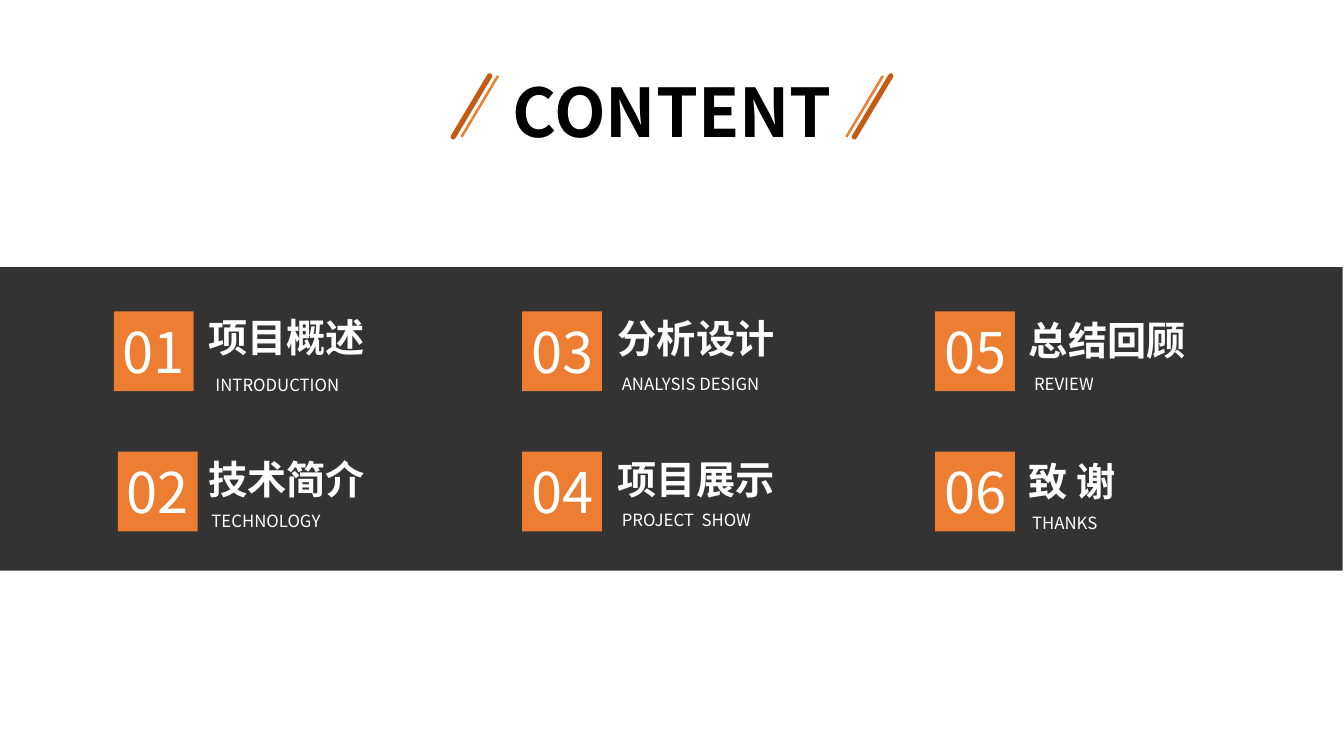
from dataclasses import dataclass
from typing import Any

from lxml import etree
from pptx import Presentation
from pptx import util as u
from pptx.dml.color import RGBColor
from pptx.enum import shapes, text
from pptx.oxml.ns import qn


@dataclass(frozen=True)
class Theme:
    font: str = "Noto Sans CJK SC"
    black: str = "000000"
    white: str = "FFFFFF"
    orange: str = "ED7D31"
    rust: str = "C55A11"
    title: int = 48
    number: int = 40
    heading: int = 28
    caption: int = 12


@dataclass(frozen=True)
class Box:
    left: float
    top: float
    width: float
    height: float

    def cm(self) -> tuple[u.Cm, ...]:
        return tuple(u.Cm(n) for n in (self.left, self.top, self.width, self.height))


@dataclass(frozen=True)
class Slash:
    x: float
    color: str
    weight: float
    cap: str


@dataclass(frozen=True)
class Topic:
    number: str
    heading: str
    caption: str
    tile_x: float
    row: int
    heading_x: float
    heading_y: float
    caption_x: float
    caption_y: float
    caption_w: float


THEME = Theme()
SLASH_TOP, SLASH_BOTTOM, SLASH_RUN = 1.91, 3.45, 0.92
TILE, FIRST_ROW, ROW_STEP = 2.01, 7.85, 3.53
MIDDLE = text.MSO_ANCHOR.MIDDLE
CENTER = text.PP_ALIGN.CENTER

SLASHES = [
    Slash(12.55, THEME.orange, 1.75, "flat"),
    Slash(22.25, THEME.orange, 1.75, "flat"),
    Slash(22.45, THEME.rust, 3.75, "rnd"),
    Slash(12.34, THEME.rust, 3.75, "rnd"),
]
TOPICS = [
    Topic("01", "项目概述", "INTRODUCTION", 2.87, 0, 5.0, 7.77, 5.18, 9.32, 3.89),
    Topic("02", "技术简介", "TECHNOLOGY", 2.97, 1, 5.0, 11.33, 5.08, 12.75, 3.45),
    Topic("03", "分析设计", "ANALYSIS DESIGN", 13.16, 0, 15.32, 7.8, 15.42, 9.3, 4.29),
    Topic("04", "项目展示", "PROJECT  SHOW", 13.16, 1, 15.32, 11.35, 15.42, 12.73, 3.96),
    Topic("05", "总结回顾", "REVIEW", 23.57, 0, 25.68, 7.85, 25.81, 9.3, 2.11),
    Topic("06", "致 谢", "THANKS", 23.57, 1, 25.68, 11.38, 25.76, 12.8, 2.26),
]


def set_all(target: Any, values: dict[str, Any]) -> None:
    for name, value in values.items():
        setattr(target, name, value)


def write(sp: Any, words: str, size: int, color: str, bold: bool = False,
          align: Any = text.PP_ALIGN.LEFT, **frame: Any) -> None:
    tf = sp.text_frame
    set_all(tf, frame)
    p = tf.paragraphs[0]
    p.alignment = align
    r = p.add_run()
    r.text = words
    set_all(r.font, {"name": THEME.font, "size": u.Pt(size), "bold": bold})
    r.font.color.rgb = RGBColor.from_string(color)
    ea = etree.SubElement(r.font._element, qn("a:ea"))
    ea.set("typeface", THEME.font)


def add_text(s: Any, box: Box, words: str, size: int, color: str, **style: Any) -> None:
    write(s.shapes.add_textbox(*box.cm()), words, size, color, **style)


def add_rect(s: Any, box: Box, color: str) -> Any:
    sp = s.shapes.add_shape(shapes.MSO_SHAPE.RECTANGLE, *box.cm())
    sp.shadow.inherit = False
    sp.fill.solid()
    sp.fill.fore_color.rgb = RGBColor.from_string(color)
    sp.line.fill.background()
    return sp


def add_band(s: Any) -> None:
    """Draw the wide black strip at 80% opacity."""
    sp = add_rect(s, Box(-0.15, 6.73, 33.99, 7.65), THEME.black)
    color = sp._element.spPr.find(qn("a:solidFill"))[0]
    etree.SubElement(color, qn("a:alpha")).set("val", "80000")


def add_slash(s: Any, slash: Slash) -> None:
    line = s.shapes.add_connector(
        shapes.MSO_CONNECTOR.STRAIGHT, u.Cm(slash.x), u.Cm(SLASH_TOP),
        u.Cm(slash.x - SLASH_RUN), u.Cm(SLASH_BOTTOM))
    line.line.color.rgb = RGBColor.from_string(slash.color)
    line.line.width = u.Pt(slash.weight)
    line.line._get_or_add_ln().set("cap", slash.cap)
    etree.SubElement(line._element.spPr, qn("a:effectLst"))


def add_topic(s: Any, t: Topic) -> None:
    add_text(s, Box(t.heading_x, t.heading_y, 5.33, 1.45), t.heading, THEME.heading,
             THEME.white, bold=True, word_wrap=True, vertical_anchor=MIDDLE)
    add_text(s, Box(t.caption_x, t.caption_y, t.caption_w, 0.76), t.caption,
             THEME.caption, THEME.white, word_wrap=False)
    tile = add_rect(s, Box(t.tile_x, FIRST_ROW + t.row * ROW_STEP, TILE, TILE), THEME.orange)
    write(tile, t.number, THEME.number, THEME.white, align=CENTER, word_wrap=False,
          vertical_anchor=MIDDLE, margin_left=0, margin_right=0)


def main() -> None:
    prs = Presentation()
    set_all(prs, {"slide_width": u.Cm(33.87), "slide_height": u.Cm(19.05)})
    s = prs.slides.add_slide(prs.slide_layouts[6])
    add_band(s)
    add_text(s, Box(12.4, 1.65, 9.09, 2.31), "CONTENT", THEME.title, THEME.black,
             bold=True, align=CENTER, word_wrap=False)
    for slash in SLASHES:
        add_slash(s, slash)
    for topic in TOPICS:
        add_topic(s, topic)
    prs.save("out.pptx")


if __name__ == "__main__":
    main()
